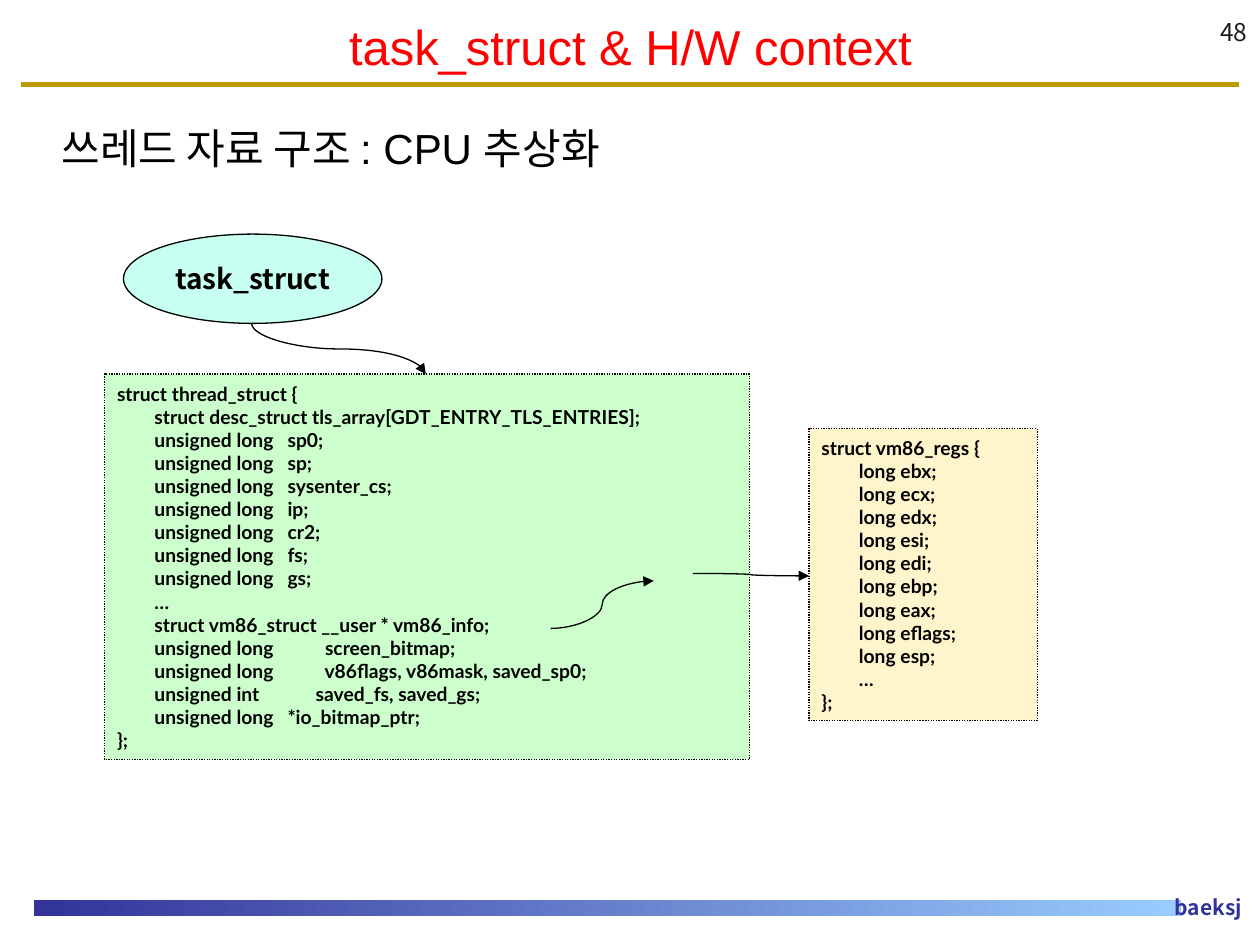
from dataclasses import dataclass
from typing import Optional

import pptx
import pptx.dml.color
import pptx.enum.dml
import pptx.enum.shapes
import pptx.enum.text
import pptx.oxml
import pptx.oxml.ns
import pptx.util

Cm, Pt = pptx.util.Cm, pptx.util.Pt
Align = pptx.enum.text.PP_ALIGN
Anchor = pptx.enum.text.MSO_ANCHOR
Preset = pptx.enum.shapes.MSO_SHAPE
Curve = pptx.enum.shapes.MSO_CONNECTOR
Dash = pptx.enum.dml.MSO_LINE

SANS, KOREAN, CODE = "Arial", "Noto Sans CJK KR", "Lato"
BLACK, NAVY = "000000", "333399"
CODE_INDENT = " " * 8

THREAD_FIELDS = [
    "struct desc_struct tls_array[GDT_ENTRY_TLS_ENTRIES];",
    "unsigned long   sp0;",
    "unsigned long   sp;",
    "unsigned long   sysenter_cs;",
    "unsigned long   ip;",
    "unsigned long   cr2;",
    "unsigned long   fs;",
    "unsigned long   gs;",
    "…",
    "struct vm86_struct __user * vm86_info;",
    "unsigned long           screen_bitmap;",
    "unsigned long           v86flags, v86mask, saved_sp0;",
    "unsigned int            saved_fs, saved_gs;",
    "unsigned long   *io_bitmap_ptr;",
]
REGISTERS = "ebx ecx edx esi edi ebp eax eflags esp".split()


@dataclass
class Area:
    """Position and size in centimetres."""
    left: float
    top: float
    width: float
    height: float

    def lengths(self) -> list:
        return [Cm(v) for v in (self.left, self.top, self.width, self.height)]


@dataclass
class Style:
    font: str
    size: float
    color: str = BLACK
    bold: bool = False
    align: Align = Align.LEFT
    anchor: Anchor = Anchor.TOP
    wrap: bool = True


@dataclass
class Struct:
    name: str
    fields: list
    area: Area
    fill: str

    def code(self) -> str:
        members = [CODE_INDENT + field for field in self.fields]
        return "\n".join([f"struct {self.name} {{", *members, "};"])


@dataclass
class Arrow:
    begin: tuple
    end: tuple
    rotation: int = 0


STRUCTS = [
    Struct("thread_struct", THREAD_FIELDS, Area(2.11, 7.54, 13, 7.77), "CCFFCC"),
    Struct("vm86_regs", [f"long {name};" for name in REGISTERS] + ["…"],
           Area(16.31, 8.64, 4.6, 5.89), "FFF5CC"),
]
ARROWS = [
    Arrow((7.34, 5.28), (6.32, 8.79), rotation=270),
    Arrow((11.1, 12.67), (13.18, 11.71)),
    Arrow((13.97, 11.56), (16.31, 11.61)),
]


def rgb(color: str) -> pptx.dml.color.RGBColor:
    return pptx.dml.color.RGBColor.from_string(color)


def add_xml(parent, tag: str, **attributes: str) -> None:
    child = pptx.oxml.parse_xml(f"<a:{tag} {pptx.oxml.ns.nsdecls('a')}/>")
    for name, value in attributes.items():
        child.set(name, value)
    parent.append(child)


def write(box, text: str, style: Style) -> None:
    frame = box.text_frame
    frame.text = text
    frame.word_wrap = style.wrap
    frame.auto_size = pptx.enum.text.MSO_AUTO_SIZE.NONE
    frame.vertical_anchor = style.anchor
    for para in frame.paragraphs:
        para.alignment = style.align
        para.font.name = style.font
        para.font.size = Pt(style.size)
        para.font.bold = style.bold
        para.font.color.rgb = rgb(style.color)


def add_text(page, area: Area, text: str, style: Style):
    box = page.shapes.add_textbox(*area.lengths())
    write(box, text, style)
    return box


def add_shape(page, preset: Preset, area: Area, fill: Optional[str] = None,
              dash: Optional[Dash] = None):
    """Add an outlined shape, or a bare one when no fill is given."""
    shape = page.shapes.add_shape(preset, *area.lengths())
    shape.shadow.inherit = False
    if fill is None:
        shape.line.fill.background()
        return shape
    shape.fill.solid()
    shape.fill.fore_color.rgb = rgb(fill)
    shape.line.color.rgb = rgb(BLACK)
    shape.line.width = Pt(0.75)
    if dash is not None:
        shape.line.dash_style = dash
    return shape


def add_line(page, kind: Curve, begin: tuple, end: tuple, color: str, width: float):
    line = page.shapes.add_connector(kind, *[Cm(v) for v in (*begin, *end)])
    line.line.color.rgb = rgb(color)
    line.line.width = Pt(width)
    add_xml(line._element.spPr, "effectLst")
    return line


def add_arrow(page, arrow: Arrow) -> None:
    line = add_line(page, Curve.CURVE, arrow.begin, arrow.end, BLACK, 0.75)
    add_xml(line.line._get_or_add_ln(), "tailEnd", type="triangle")
    if arrow.rotation:
        line._element.spPr.xfrm.set("rot", str(arrow.rotation * 60000))


def add_frame(page) -> None:
    """Draw the rule, footer bar, author and page number."""
    add_line(page, Curve.STRAIGHT, (0.43, 1.7), (24.97, 1.7), "BE9A00", 3)
    bar = add_shape(page, Preset.RECTANGLE, Area(0.69, 18.14, 23.11, 0.33))
    bar.fill.gradient()
    bar.fill.gradient_angle = 0
    for stop, color in zip(bar.fill.gradient_stops, (NAVY, "99CCFF")):
        stop.color.rgb = rgb(color)
    author = add_text(page, Area(22.5, 17.91, 2.9, 0.76), "baeksj",
                      Style(KOREAN, 12, NAVY, True, Align.RIGHT, Anchor.MIDDLE))
    author.text_frame.margin_right = Cm(0.36)
    add_text(page, Area(20.12, 0.43, 5.28, 0.64), "48",
             Style(KOREAN, 14, "1C1C1C", align=Align.RIGHT, anchor=Anchor.BOTTOM))


def add_headings(page) -> None:
    title = page.shapes.title
    title.left, title.top, title.width, title.height = Area(0.43, 0.2, 24.56, 1.47).lengths()
    write(title, "task_struct & H/W context",
          Style(SANS, 28, "FF0000", align=Align.CENTER, anchor=Anchor.MIDDLE))

    topic = page.shapes.add_textbox(*Area(0.99, 2.34, 22.86, 1.27).lengths())
    props = topic.text_frame.paragraphs[0]._p.get_or_add_pPr()
    props.set("marL", str(Cm(0.97)))
    props.set("indent", str(-Cm(0.97)))
    add_xml(props, "buSzPct", val="70000")
    add_xml(props, "buFont", typeface=SANS)
    add_xml(props, "buChar", char="•")
    write(topic, "쓰레드 자료 구조 : CPU 추상화", Style(SANS, 24))


def main() -> None:
    deck = pptx.Presentation()
    deck.slide_width, deck.slide_height = Cm(25.4), Cm(19.05)
    page = deck.slides.add_slide(deck.slide_layouts[5])
    add_frame(page)
    add_headings(page)

    task = add_shape(page, Preset.OVAL, Area(2.49, 4.72, 5.21, 1.8), "C7FFF0")
    write(task, "task_struct", Style(KOREAN, 16, bold=True, align=Align.CENTER,
                                     anchor=Anchor.MIDDLE, wrap=False))
    for struct in STRUCTS:
        box = add_shape(page, Preset.RECTANGLE, struct.area, struct.fill, Dash.ROUND_DOT)
        write(box, struct.code(), Style(CODE, 11, bold=True, anchor=Anchor.MIDDLE))
    for arrow in ARROWS:
        add_arrow(page, arrow)
    deck.save("out.pptx")


if __name__ == "__main__":
    main()
